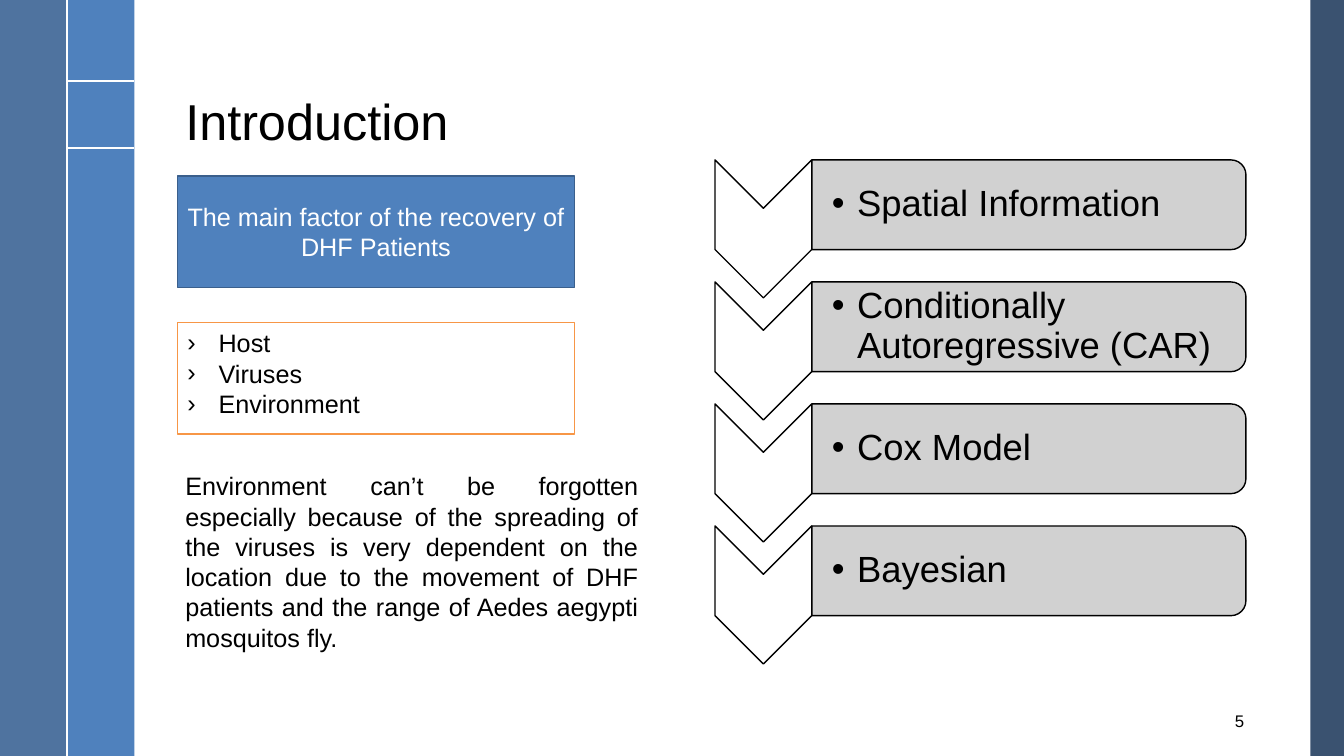
from lxml import etree
from pptx import Presentation, util as u
from pptx.dml.color import RGBColor
from pptx.enum import shapes, text
from pptx.oxml import ns

COLOURS = {
    "white": "FFFFFF", "black": "000000", "blue": "4F81BD", "blue edge": "3A5F8C",
    "steel": "376092", "navy": "254061", "orange": "F79646", "grey": "CCCCCC",
}
SHAPE, ALIGN, ANCHOR = shapes.MSO_SHAPE, text.PP_ALIGN, text.MSO_ANCHOR


def add_xml(parent, tag, **attributes):
    return etree.SubElement(parent, ns.qn(tag), **attributes)


class SlideBuilder:
    """Draws on one slide; every box is (left, top, width, height) in percent."""

    def __init__(self, deck, font="Arial"):
        self.deck, self.font = deck, font
        self.page = deck.slides.add_slide(deck.slide_layouts[6])

    def x(self, percent):
        return u.Emu(round(self.deck.slide_width * percent / 100))

    def y(self, percent):
        return u.Emu(round(self.deck.slide_height * percent / 100))

    def place(self, box):
        left, top, width, height = box
        return self.x(left), self.y(top), self.x(width), self.y(height)

    def colour(self, name):
        return RGBColor.from_string(COLOURS[name])

    def shape(self, kind, box, fill, line=None, opacity=100, turned=False):
        left, top, width, height = self.place(box)
        if turned:  # box is the outline seen after a quarter turn
            left, top = left + (width - height) // 2, top + (height - width) // 2
            width, height = height, width
        shape = self.page.shapes.add_shape(kind, left, top, width, height)
        shape.rotation = 90 if turned else 0
        shape.shadow.inherit = False
        shape.fill.solid()
        shape.fill.fore_color.rgb = self.colour(fill)
        if opacity < 100:
            tint = shape._element.spPr.find(ns.qn("a:solidFill")).find(ns.qn("a:srgbClr"))
            add_xml(tint, "a:alpha", val=str(opacity * 1000))
        if line:
            shape.line.color.rgb = self.colour(line)
            shape.line.width = u.Pt(1)
        else:
            shape.line.fill.background()
        return shape

    def rule(self, start, end):
        line = self.page.shapes.add_connector(
            shapes.MSO_CONNECTOR.STRAIGHT,
            self.x(start[0]), self.y(start[1]), self.x(end[0]), self.y(end[1]))
        line.line.color.rgb = self.colour("white")
        line.line.width = u.Pt(1.5)
        add_xml(line._element.spPr, "a:effectLst")

    def fill_text(self, shape, lines, size, colour="black", align=ALIGN.LEFT,
                  anchor=ANCHOR.TOP, spacing=None, bullet=None, indent=0):
        frame = shape.text_frame
        frame.word_wrap = True
        frame.vertical_anchor = anchor
        for number, line in enumerate(lines):
            para = frame.add_paragraph() if number else frame.paragraphs[0]
            para.alignment = align
            if spacing:
                para.line_spacing = spacing
            if bullet:
                props = para._p.get_or_add_pPr()
                props.set("marL", str(u.Inches(indent)))
                props.set("indent", str(-u.Inches(indent)))
                add_xml(props, "a:buFont", typeface=self.font)
                add_xml(props, "a:buChar", char=bullet)
            span = para.add_run()
            span.text = line
            span.font.name, span.font.size = self.font, u.Pt(size)
            span.font.color.rgb = self.colour(colour)

    def text(self, box, lines, size, insets=None, **style):
        area = self.page.shapes.add_textbox(*self.place(box))
        if insets:
            frame = area.text_frame
            (frame.margin_left, frame.margin_top, frame.margin_right,
             frame.margin_bottom) = map(u.Inches, insets)
        self.fill_text(area, lines, size, **style)


def main():
    deck = Presentation()
    deck.slide_width, deck.slide_height = u.Inches(13.33), u.Inches(7.5)
    slide = SlideBuilder(deck)

    # Side bands and their white rules
    slide.shape(SHAPE.RECTANGLE, (97.5, 0, 2.5, 100), "navy", opacity=90)
    slide.shape(SHAPE.RECTANGLE, (5, 0, 5, 100), "blue")
    slide.shape(SHAPE.RECTANGLE, (0, 0, 5, 100), "steel", opacity=88)
    for height in (10.75, 19.6):
        slide.rule((5, height), (10, height))
    slide.rule((5, 0), (5, 100))

    # Title
    slide.text((13.05, 2.5, 80.25, 18.2), ["Introduction"], 36,
               anchor=ANCHOR.BOTTOM, spacing=0.9)

    # Factors of recovery
    heading = slide.shape(SHAPE.RECTANGLE, (13.2, 23.3, 29.55, 14.7), "blue", "blue edge")
    slide.fill_text(heading, ["The main factor of the recovery of DHF Patients"], 18,
                    colour="white", align=ALIGN.CENTER, anchor=ANCHOR.MIDDLE)
    factors = slide.shape(SHAPE.RECTANGLE, (13.2, 42.7, 29.55, 14.7), "white", "orange")
    slide.fill_text(factors, ["Host", "Viruses", "Environment"], 18, bullet="›", indent=0.31)
    slide.text((13.05, 61.6, 35.18, 25.6), [
        "Environment can’t be forgotten especially because of the spreading of the "
        "viruses is very dependent on the location due to the movement of DHF patients "
        "and the range of Aedes aegypti mosquitos fly."], 18, align=ALIGN.JUSTIFY)

    # Chevron list of methods
    methods = ["Spatial Information", "Conditionally Autoregressive (CAR)",
               "Cox Model", "Bayesian"]
    first_top, step = 21.15, 16.14
    for number, method in enumerate(methods):
        top = first_top + number * step
        slide.shape(SHAPE.CHEVRON, (53.2, top, 7.2, 18.25), "white", "black", turned=True)
        slide.shape(SHAPE.ROUND_2_SAME_RECTANGLE, (60.4, top, 32.3, 11.87), "grey",
                    "black", opacity=90, turned=True)
        slide.text((60.4, top + 0.6, 31.95, 10.67), [method], 26,
                   insets=(0.2, 0.02, 0.02, 0.02), anchor=ANCHOR.MIDDLE,
                   spacing=0.9, bullet="•", indent=0.25)

    # Page number
    slide.text((88.3, 92.7, 5, 5.3), ["5"], 12, align=ALIGN.RIGHT, anchor=ANCHOR.MIDDLE)

    deck.save("out.pptx")


if __name__ == "__main__":
    main()
